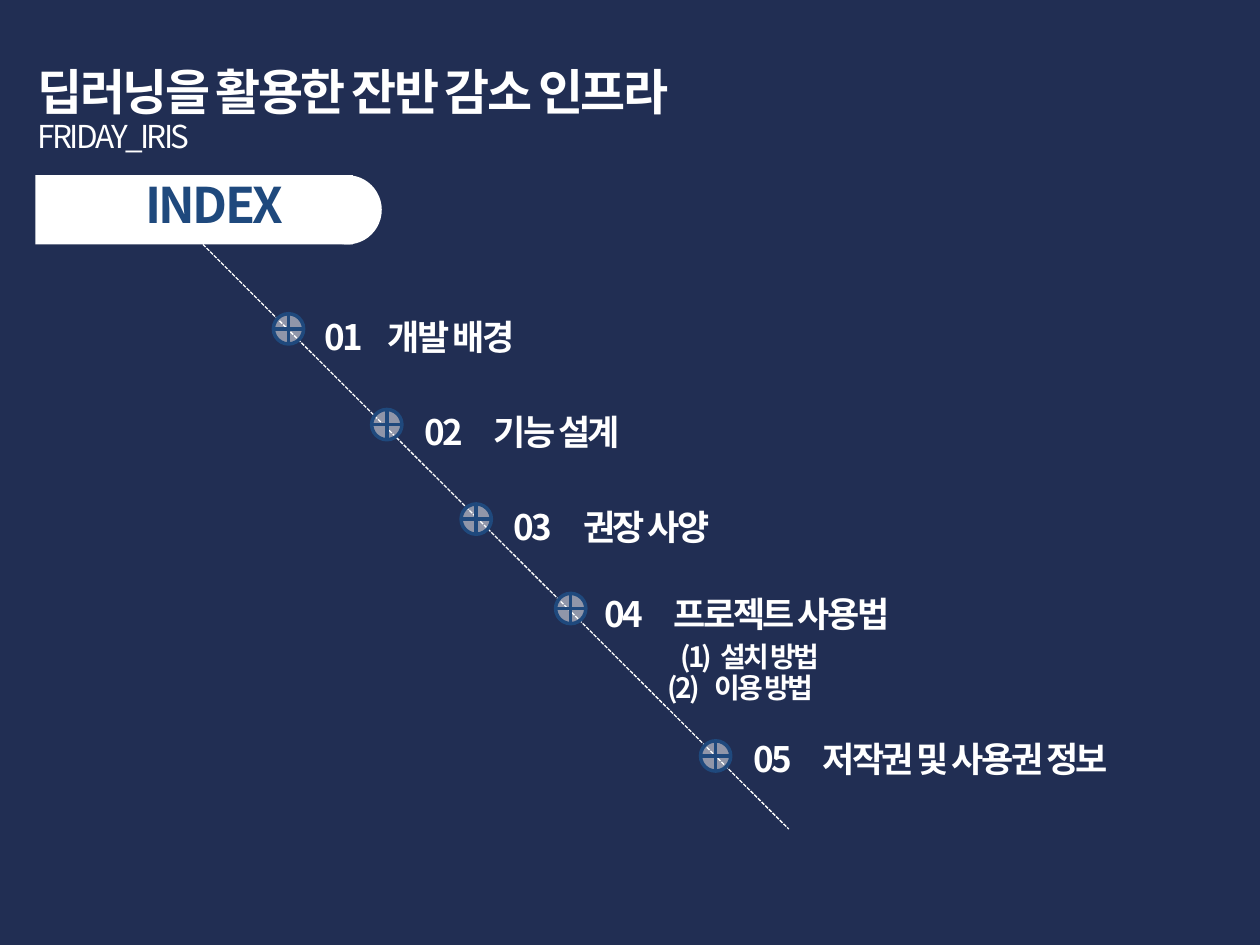
from pptx import Presentation
from pptx.dml.color import RGBColor
from pptx.enum.dml import MSO_LINE
from pptx.enum.shapes import MSO_CONNECTOR, MSO_SHAPE
from pptx.enum.text import MSO_ANCHOR, PP_ALIGN
from pptx.oxml.ns import qn
from pptx.util import Inches, Pt
from lxml.etree import SubElement

FONT = "Noto Sans CJK KR"
HUES = {"back": "212E53", "white": "FFFFFF", "blue": "1F497D"}
HEAD = [("딥러닝을 활용한 잔반 감소 인프라", 28, True), ("FRIDAY_IRIS", 18, False)]
ITEMS = [
    ("01", "개발 배경", (2.17, 2.49), (2.48, 2.49), 0.5, []),
    ("02", "기능 설계", (2.95, 3.25), (3.27, 3.25), 0.55, []),
    ("03", "권장 사양", (3.66, 4.0), (3.98, 4.0), 0.55, []),
    ("04", "프로젝트 사용법", (4.41, 4.71), (4.7, 4.69), 0.55,
     [("(1)", "설치 방법", 0.6, 0.92, 5), ("(2)", "이용 방법", 0.5, 0.87, 0)]),
    ("05", "저작권 및 사용권 정보", (5.56, 5.88), (5.88, 5.84), 0.55, []),
]
DOT = 0.24


def hue(name):
    return RGBColor.from_string(HUES[name])


def place(x, y, w, h):
    return [Inches(v) for v in (x, y, w, h)]


def write(para, text, size, bold=True, color="white", align=PP_ALIGN.LEFT):
    para.text = text
    para.alignment = align
    para.line_spacing = 0.9
    para.space_before = Pt(0)
    font = para.font
    font.name, font.size, font.bold = FONT, Pt(size), bold
    font.color.rgb = hue(color)
    for run in para.runs:
        props = run._r.get_or_add_rPr()
        props.set("spc", "-150")
        SubElement(props, qn("a:ea"), typeface=FONT)


def hang(para, start, stop):
    props = para._p.get_or_add_pPr()
    props.set("marL", str(Inches(stop)))
    props.set("indent", str(Inches(start - stop)))


def box(x, y, w, h):
    frame = slide.shapes.add_textbox(*place(x, y, w, h)).text_frame
    frame.word_wrap = True
    return frame


def shape(kind, x, y, w, h):
    item = slide.shapes.add_shape(kind, *place(x, y, w, h))
    item.shadow.inherit = False
    item.fill.solid()
    item.fill.fore_color.rgb = hue("white")
    item.line.fill.background()
    return item


deck = Presentation()
deck.slide_width, deck.slide_height = Inches(10), Inches(7.5)
slide = deck.slides.add_slide(deck.slide_layouts[5])
slide.background.fill.solid()
slide.background.fill.fore_color.rgb = hue("back")

title = slide.shapes.title
title.left, title.top, title.width, title.height = place(0.2, 0.49, 6.77, 0.86)
frame = title.text_frame
frame.vertical_anchor = MSO_ANCHOR.TOP
for i, (text, size, bold) in enumerate(HEAD):
    write(frame.add_paragraph() if i else frame.paragraphs[0], text, size, bold)

shape(MSO_SHAPE.RECTANGLE, 0.28, 1.39, 2.52, 0.55)
shape(MSO_SHAPE.OVAL, 2.48, 1.39, 0.55, 0.55)
write(box(0.29, 1.39, 2.82, 0.57).paragraphs[0], "INDEX", 28,
      color="blue", align=PP_ALIGN.CENTER)

path = slide.shapes.add_connector(MSO_CONNECTOR.STRAIGHT, *place(1.61, 1.94, 6.26, 6.58))
path.line.color.rgb = hue("white")
path.line.width = Pt(0.75)
path.line.dash_style = MSO_LINE.SQUARE_DOT
SubElement(path._element.spPr, qn("a:effectLst"))

for num, name, dot, spot, gap, subs in ITEMS:
    mark = shape(MSO_SHAPE.FLOWCHART_OR, *dot, DOT, DOT)
    tint = mark._element.spPr.find(qn("a:solidFill"))[0]
    SubElement(tint, qn("a:alpha"), val="50000")
    mark.line.color.rgb = hue("blue")
    mark.line.width = Pt(2)
    frame = box(*spot, 4.09, 1.03 if subs else 0.42)
    para = frame.paragraphs[0]
    write(para, f"{num}\t{name}", 20)
    hang(para, 0, gap)
    for num, name, start, stop, lead in subs:
        para = frame.add_paragraph()
        write(para, f"{num}\t{name}", 16)
        para.space_before = Pt(lead)
        hang(para, start, stop)

deck.save("out.pptx")
